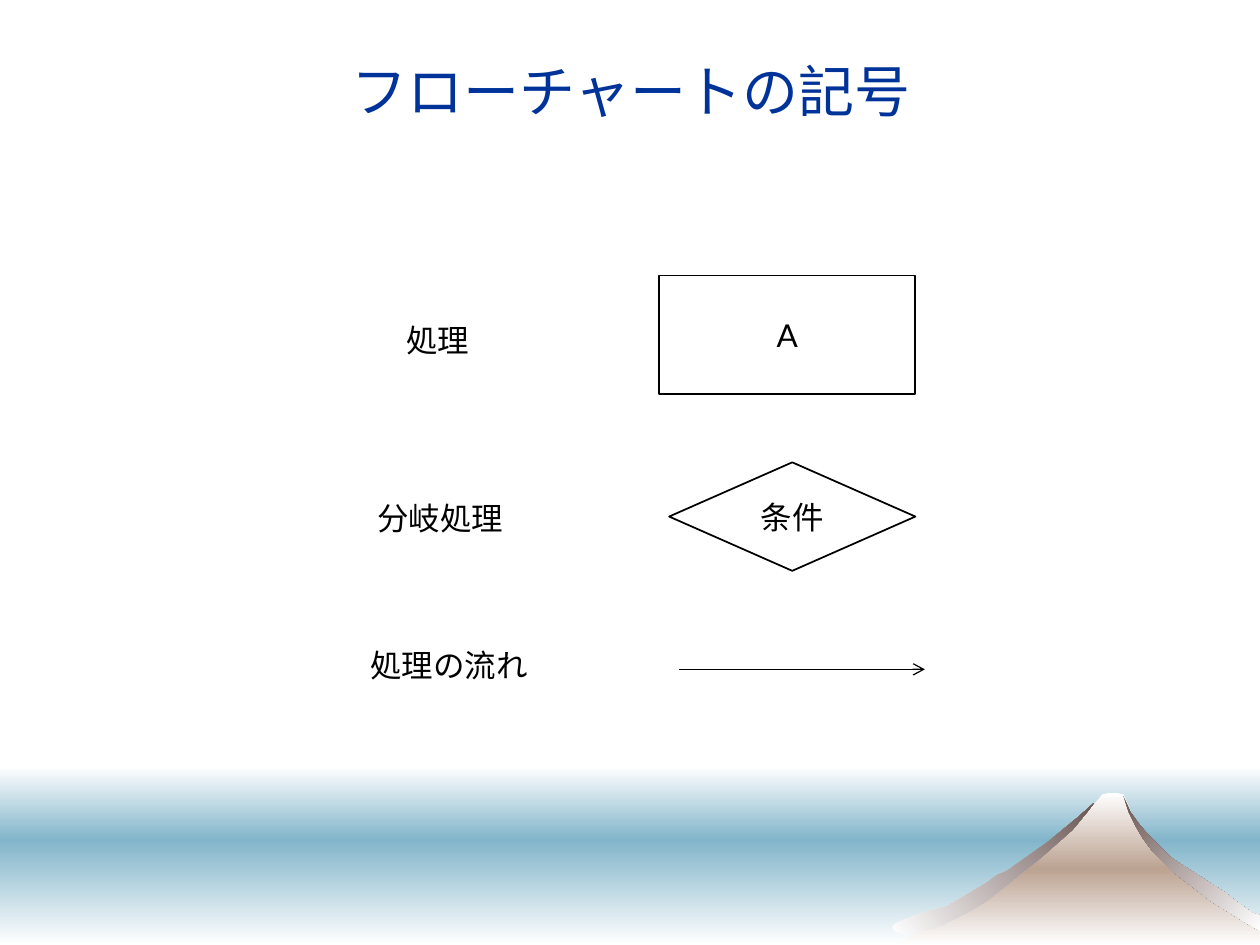
import copy

import pptx
import pptx.dml.color
import pptx.enum.shapes
import pptx.enum.text
import pptx.oxml
import pptx.oxml.ns
import pptx.util

Pt = pptx.util.Pt
RGBColor = pptx.dml.color.RGBColor
MSO_SHAPE = pptx.enum.shapes.MSO_SHAPE
PP_ALIGN = pptx.enum.text.PP_ALIGN
MSO_ANCHOR = pptx.enum.text.MSO_ANCHOR
MSO_AUTO_SIZE = pptx.enum.text.MSO_AUTO_SIZE

WHITE = RGBColor(0xFF, 0xFF, 0xFF)
BLACK = RGBColor(0, 0, 0)
NAVY = RGBColor(0x00, 0x33, 0x99)
SEA = RGBColor(0x82, 0xB5, 0xCA)
EARTH = RGBColor(0xBC, 0xA3, 0x92)
ROCK = RGBColor(0x6B, 0x56, 0x53)

MOUNTAIN = [
    (512, 540), (568.8, 507.6), (604.8, 479.5), (625.7, 458.6), (630, 454.3),
    (633.6, 452.9), (637.9, 452.9), (641.5, 454.3), (650.2, 473), (663.8, 489.6),
    (697, 512.6), (720, 527.8), (720, 540),
]
RIGHT_RIDGE = [
    (658.8, 487.4), (670.3, 498.2), (682.6, 507.6), (691.9, 514.8), (712.8, 527.8),
    (720, 532), (720, 523.4), (715.7, 522), (704.9, 514.1), (699.8, 510.5),
    (668.9, 489.6), (656.6, 478.1), (650.9, 470.9), (645.8, 463.7), (642.2, 455),
    (645.1, 463.7), (648.7, 471.6), (653, 478.8),
]
LEFT_RIDGE = [
    (599, 481), (575.3, 498.2), (570.2, 500.4), (563, 505.4), (540.7, 517.7),
    (529.2, 520.6), (518.4, 524.9), (512.6, 527), (510.5, 529.2), (509.8, 530.6),
    (511.2, 532.1), (514.1, 532.8), (518.4, 533.5), (525.6, 532.1), (532, 530.6),
    (540, 527.8), (553.7, 521.3), (565.2, 514), (595.4, 490.3), (612.7, 474.5),
    (622, 463), (625, 459.4), (616.3, 467.3),
]


class SymbolSlide:
    symbol_font = "Lato"
    label_font = "Arial"
    body_size = 18

    def __init__(self, slide):
        self.slide = slide

    def set_text(self, shape, text, font, size, color, align):
        frame = shape.text_frame
        frame.text = text
        paragraph = frame.paragraphs[0]
        paragraph.alignment = align
        style = paragraph.runs[0].font
        style.name, style.size = font, Pt(size)
        style.color.rgb = color

    def shade(self, shape, colors, angle):
        shape.shadow.inherit = False
        shape.line.fill.background()
        shape.fill.gradient()
        shape.fill.gradient_angle = angle
        stop_list = shape.element.spPr.find(".//" + pptx.oxml.ns.qn("a:gsLst"))
        for _ in colors[2:]:
            stop_list.append(copy.deepcopy(stop_list[-1]))
        for index, (stop, color) in enumerate(zip(shape.fill.gradient_stops, colors)):
            stop.color.rgb = color
            stop.position = index / (len(colors) - 1)

    def band(self, top, height, colors):
        band = self.slide.shapes.add_shape(
            MSO_SHAPE.RECTANGLE, Pt(0), Pt(top), Pt(720), Pt(height))
        self.shade(band, colors, 270)

    def outline(self, points, colors, angle):
        builder = self.slide.shapes.build_freeform(*points[0], scale=Pt(1))
        builder.add_line_segments(points[1:], close=True)
        self.shade(builder.convert_to_shape(), colors, angle)

    def title(self, text):
        title = self.slide.shapes.add_textbox(Pt(36.7), Pt(15), Pt(648), Pt(73.5))
        title.text_frame.word_wrap = True
        title.text_frame.vertical_anchor = MSO_ANCHOR.MIDDLE
        self.set_text(title, text, self.symbol_font, 32, NAVY, PP_ALIGN.CENTER)

    def symbol(self, kind, text, left, top, width, height):
        symbol = self.slide.shapes.add_shape(
            kind, Pt(left), Pt(top), Pt(width), Pt(height))
        symbol.shadow.inherit = False
        symbol.fill.solid()
        symbol.fill.fore_color.rgb = WHITE
        symbol.line.color.rgb = BLACK
        symbol.line.width = Pt(1)
        symbol.text_frame.vertical_anchor = MSO_ANCHOR.MIDDLE
        self.set_text(symbol, text, self.symbol_font, self.body_size, BLACK, PP_ALIGN.CENTER)

    def label(self, text, left, top, width):
        label = self.slide.shapes.add_textbox(Pt(left), Pt(top), Pt(width), Pt(29))
        label.text_frame.word_wrap = False
        label.text_frame.auto_size = MSO_AUTO_SIZE.SHAPE_TO_FIT_TEXT
        self.set_text(label, text, self.label_font, self.body_size, BLACK, PP_ALIGN.LEFT)

    def arrow(self, left, right, y):
        arrow = self.slide.shapes.add_connector(
            pptx.enum.shapes.MSO_CONNECTOR.STRAIGHT, Pt(left), Pt(y), Pt(right), Pt(y))
        arrow.line.color.rgb = BLACK
        arrow.line.width = Pt(0.75)
        properties = arrow.element.spPr
        namespace = pptx.oxml.ns.nsdecls("a")
        properties.find(pptx.oxml.ns.qn("a:ln")).append(
            pptx.oxml.parse_xml(f'<a:tailEnd {namespace} type="arrow"/>'))
        properties.append(pptx.oxml.parse_xml(f"<a:effectLst {namespace}/>"))


def main():
    deck = pptx.Presentation()
    deck.slide_width, deck.slide_height = Pt(720), Pt(540)
    page = SymbolSlide(deck.slides.add_slide(deck.slide_layouts[6]))

    page.band(438, 42, [WHITE, SEA])
    page.band(480, 60, [SEA, WHITE])
    page.outline(MOUNTAIN, [WHITE, EARTH, WHITE], 270)
    page.outline(RIGHT_RIDGE, [ROCK, WHITE], 315)
    page.outline(LEFT_RIDGE, [WHITE, ROCK], 45)

    page.title("フローチャートの記号")
    page.symbol(MSO_SHAPE.FLOWCHART_DECISION, "条件", 382.4, 264.2, 140.7, 62)
    page.symbol(MSO_SHAPE.RECTANGLE, "A", 376.8, 157.5, 146.2, 67.7)
    page.label("処理", 225, 180, 50.4)
    page.label("分岐処理", 208.6, 281.6, 86.4)
    page.arrow(388, 528.5, 382.5)
    page.label("処理の流れ", 204.4, 365.8, 104.4)

    deck.save("out.pptx")


if __name__ == "__main__":
    main()
